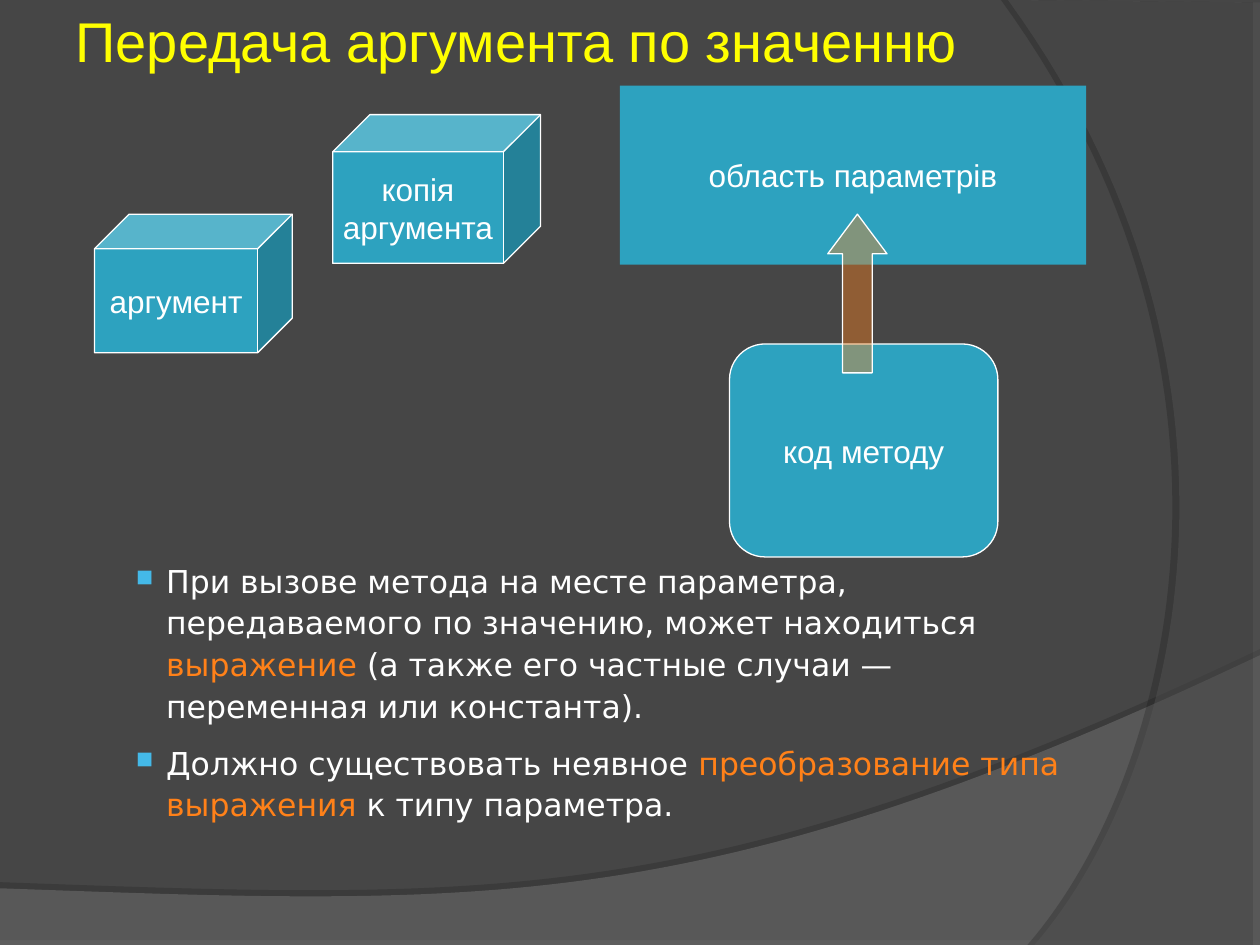
from dataclasses import dataclass

from lxml import etree
from pptx import Presentation
from pptx.dml.color import RGBColor
from pptx.enum.shapes import MSO_SHAPE
from pptx.enum.text import MSO_ANCHOR, PP_ALIGN
from pptx.oxml.ns import qn
from pptx.util import Inches, Pt

RECTANGLE = MSO_SHAPE.RECTANGLE
ROUNDED_RECTANGLE = MSO_SHAPE.ROUNDED_RECTANGLE
CUBE = MSO_SHAPE.CUBE
UP_ARROW = MSO_SHAPE.UP_ARROW
MIDDLE = MSO_ANCHOR.MIDDLE
LEFT, CENTER = PP_ALIGN.LEFT, PP_ALIGN.CENTER


@dataclass(frozen=True)
class Theme:
    background: str = "464646"
    wave: str = "7C7C7C"
    side: str = "595959"
    title: str = "FFFF00"
    text: str = "FFFFFF"
    block: str = "2DA2BF"
    accent: str = "FF8119"
    bullet: str = "44B9E8"
    font: str = "Arial"
    body_font: str = "DejaVu Sans"
    title_size: int = 32
    text_size: int = 18
    line_width: float = 0.75


THEME = Theme()

# Pieces of each bullet: (text, is highlighted)
BULLETS = [
    [("При вызове метода на месте параметра, передаваемого по значению, может находиться ", False),
     ("выражение ", True),
     ("(а также его частные случаи — переменная или константа).", False)],
    [("Должно существовать неявное ", False),
     ("преобразование типа выражения", True),
     (" к типу параметра.", False)],
]


def rgb(color):
    return RGBColor.from_string(color)


def add_xml(parent, tag, **attributes):
    names = {name: str(value) for name, value in attributes.items()}
    return etree.SubElement(parent, qn(tag), names)


def set_fill(shape, color, opacity=100):
    shape.fill.solid()
    shape.fill.fore_color.rgb = rgb(color)
    if opacity < 100:
        color_element = shape.fill._xPr.find(qn("a:solidFill"))[0]
        add_xml(color_element, "a:alpha", val=opacity * 1000)


def set_font(paragraph, name, size, color):
    paragraph.font.name = name
    paragraph.font.size = Pt(size)
    paragraph.font.color.rgb = rgb(color)


def curve_points(start, control_1, control_2, end, steps=60):
    """Points along a cubic Bezier curve, without its start."""
    for step in range(1, steps + 1):
        t = step / steps
        weights = ((1 - t) ** 3, 3 * t * (1 - t) ** 2, 3 * t * t * (1 - t), t ** 3)
        points = (start, control_1, control_2, end)
        yield tuple(sum(w * p[axis] for w, p in zip(weights, points)) for axis in (0, 1))


def add_backdrop(slide, corners, curve, color, opacity, shadow):
    """Draw straight corners closed by a curve; shadow is (opacity, distance, angle)."""
    points = [(Inches(x), Inches(y)) for x, y in [*corners, *curve_points(corners[-1], *curve)]]
    builder = slide.shapes.build_freeform(*points[0], scale=1.0)
    builder.add_line_segments(points[1:], close=True)
    shape = builder.convert_to_shape()
    set_fill(shape, color, opacity)
    shape.line.fill.background()
    shape.shadow.inherit = False
    shadow_opacity, distance, angle = shadow
    effects = shape._element.spPr.find(qn("a:effectLst"))
    outer = add_xml(effects, "a:outerShdw", blurRad=0, dist=Pt(distance),
                    dir=angle * 60000, algn="ctr", rotWithShape=0)
    shadow_color = add_xml(outer, "a:srgbClr", val="000000")
    add_xml(shadow_color, "a:alpha", val=shadow_opacity * 1000)


def add_title(slide, text):
    title = slide.shapes.title
    title.left, title.top = Inches(0.55), Inches(-0.31)
    title.width, title.height = Inches(8.17), Inches(1.25)
    frame = title.text_frame
    frame.margin_left = frame.margin_right = Inches(0.05)
    frame.vertical_anchor = MIDDLE
    frame.text = text
    paragraph = frame.paragraphs[0]
    paragraph.alignment = LEFT
    set_font(paragraph, THEME.font, THEME.title_size, THEME.title)
    slide.shapes._spTree.append(title._element)  # in front of the backdrop


def add_block(slide, kind, box, text="", color=THEME.block, opacity=100, outlined=True):
    shape = slide.shapes.add_shape(kind, *map(Inches, box))
    shape.shadow.inherit = False
    set_fill(shape, color, opacity)
    if outlined:
        shape.line.color.rgb = rgb(THEME.text)
        shape.line.width = Pt(THEME.line_width)
    else:
        shape.line.fill.background()
    if text:
        frame = shape.text_frame
        frame.text = text
        frame.word_wrap = False
        frame.vertical_anchor = MIDDLE
        for paragraph in frame.paragraphs:
            paragraph.alignment = CENTER
            set_font(paragraph, THEME.font, THEME.text_size, THEME.text)
    return shape


def set_bullet(paragraph):
    properties = paragraph._p.get_or_add_pPr()
    indent = Inches(0.24)
    properties.set("marL", str(indent))
    properties.set("indent", str(-indent))
    add_xml(add_xml(properties, "a:buClr"), "a:srgbClr", val=THEME.bullet)
    add_xml(properties, "a:buSzPct", val=75000)
    add_xml(properties, "a:buChar", char="■")


def add_bullets(slide, box, bullets):
    frame = slide.shapes.add_textbox(*map(Inches, box)).text_frame
    frame.word_wrap = True
    for index, pieces in enumerate(bullets):
        paragraph = frame.add_paragraph() if index else frame.paragraphs[0]
        set_bullet(paragraph)
        paragraph.line_spacing = 1.1
        paragraph.space_before = paragraph.space_after = Pt(4.5)
        set_font(paragraph, THEME.body_font, THEME.text_size, THEME.text)
        for text, highlighted in pieces:
            run = paragraph.add_run()
            run.text = text
            if highlighted:
                run.font.color.rgb = rgb(THEME.accent)


def main():
    presentation = Presentation()
    presentation.slide_width, presentation.slide_height = Inches(10), Inches(7.5)
    slide = presentation.slides.add_slide(presentation.slide_layouts[5])
    slide.background.fill.solid()
    slide.background.fill.fore_color.rgb = rgb(THEME.background)

    add_backdrop(slide, [(0, 7.05), (0, 7.51), (10, 7.51), (10, 5.2)],
                 [(5.59, 7.29), (3.91, 7.19), (0, 7.05)], THEME.wave, 45, (35, 3.5, 270))
    add_backdrop(slide, [(10, 0.02), (10, 7.5), (8.21, 7.5)],
                 [(9.35, 6.19), (10.18, 3), (8, 0)], THEME.side, 40, (45, 4, 180))
    add_title(slide, "Передача аргумента по значенню")

    add_block(slide, ROUNDED_RECTANGLE, (5.79, 2.73, 2.13, 1.69), "код методу")
    add_block(slide, RECTANGLE, (4.92, 0.68, 3.7, 1.42), "область параметрів", outlined=False)
    add_block(slide, CUBE, (0.75, 1.7, 1.57, 1.1), "аргумент")
    add_block(slide, CUBE, (2.64, 0.91, 1.65, 1.18), "копія\nаргумента")
    add_bullets(slide, (0.98, 4.38, 7.72, 1.88), BULLETS)
    arrow = add_block(slide, UP_ARROW, (6.57, 1.7, 0.47, 1.26), color=THEME.accent, opacity=40)
    arrow.adjustments[1] = 0.67

    presentation.save("out.pptx")


if __name__ == "__main__":
    main()
